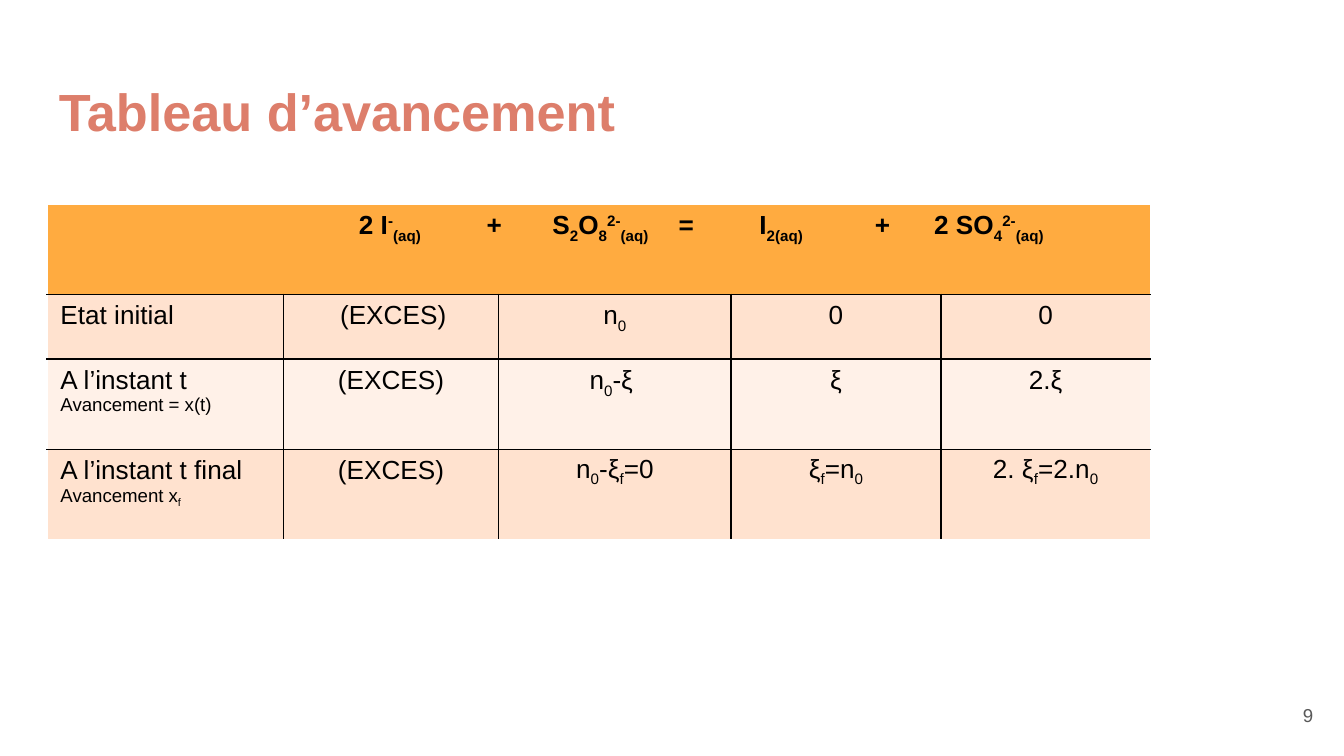
from dataclasses import dataclass

from lxml import etree
from pptx import Presentation
from pptx.dml.color import RGBColor
from pptx.enum.text import MSO_ANCHOR, PP_ALIGN
from pptx.oxml.ns import qn
from pptx.util import Emu, Inches, Pt

LEFT, CENTER, RIGHT = PP_ALIGN.LEFT, PP_ALIGN.CENTER, PP_ALIGN.RIGHT
TOP, MIDDLE = MSO_ANCHOR.TOP, MSO_ANCHOR.MIDDLE


@dataclass(frozen=True)
class Theme:
    font: str = "Arial"
    title: str = "DD7E6B"
    number: str = "595959"
    ink: str = "000000"
    paper: str = "FFFFFF"
    header: str = "FFAB40"
    odd_row: str = "FFE2CF"
    even_row: str = "FFF1E8"
    title_size: int = 28
    body_size: int = 14
    note_size: int = 10
    rule: int = 1


@dataclass(frozen=True)
class Box:
    x: float
    y: float
    w: float
    h: float


@dataclass(frozen=True)
class Label:
    text: str
    box: Box
    size: int
    color: str
    bold: bool = False
    align: PP_ALIGN = LEFT
    anchor: MSO_ANCHOR = TOP


@dataclass(frozen=True)
class Stage:
    name: str
    note: str
    amounts: tuple[str, ...]
    spaced: bool = False


T = Theme()
W = Inches(10)
H = Emu(W * 9 // 16)
SHIFTS = {"_": "-25000", "^": "30000"}
LABELS = (
    Label("Tableau d’avancement", Box(0.034, 0.087, 0.932, 0.112),
          T.title_size, T.title, bold=True),
    Label("9", Box(0.927, 0.907, 0.06, 0.077),
          T.note_size, T.number, align=RIGHT, anchor=MIDDLE),
)
TABLE = Box(0.035, 0.27, 0.821, 0.444)
COLS = (1.76, 1.6, 1.73, 1.56, 1.56)
ROWS = (0.67, 0.48, 0.67, 0.67)
EQUATION = ("\t2 I|^-|_(aq)|\t+\tS|_2|O|_8|^2-|_(aq)|\t=\tI|_2(aq)|"
            "\t+\t2 SO|_4|^2-|_(aq)")
TABS = (2.22, 3.17, 3.66, 4.6, 5.2, 6.06, 6.5)
STAGES = (
    Stage("Etat initial", "", ("_ |(EXCES)", "n|_0", "0", "0")),
    Stage("A l’instant t", "Avancement = x(t)",
          ("(EXCES)", "n|_0|-ξ ", "ξ", "2.ξ")),
    Stage("A l’instant t final", "Avancement x|_f",
          ("(EXCES)", "n|_0|-ξ|_f|=0", "ξ|_f|=n|_0", "2. ξ|_f|=2.n|_0"),
          spaced=True),
)


def rgb(color: str) -> RGBColor:
    return RGBColor.from_string(color)


def place(box: Box) -> tuple[Emu, ...]:
    return (Emu(int(box.x * W)), Emu(int(box.y * H)),
            Emu(int(box.w * W)), Emu(int(box.h * H)))


def split(total: int, weights: tuple[float, ...]) -> list[Emu]:
    return [Emu(int(total * weight / sum(weights))) for weight in weights]


def write(p, markup: str, size: int, color: str, bold: bool = False,
          align: PP_ALIGN = LEFT) -> None:
    p.alignment = align
    for piece in markup.split("|"):
        shift = SHIFTS.get(piece[0])
        r = p.add_run()
        r.text = piece[1:] if shift else piece
        r.font.name, r.font.size, r.font.bold = T.font, Pt(size), bold
        r.font.color.rgb = rgb(color)
        if shift:
            r.font._element.set("baseline", shift)


def add_label(s, label: Label) -> None:
    tf = s.shapes.add_textbox(*place(label.box)).text_frame
    tf.word_wrap = True
    tf.vertical_anchor = label.anchor
    tf.margin_left = tf.margin_right = Inches(0.1)
    tf.margin_top = tf.margin_bottom = Inches(0.1)
    write(tf.paragraphs[0], label.text, label.size, label.color,
          label.bold, label.align)


def set_tabs(p, stops: tuple[float, ...]) -> None:
    tabs = etree.SubElement(p._p.get_or_add_pPr(), qn("a:tabLst"))
    for stop in stops:
        etree.SubElement(tabs, qn("a:tab"), pos=str(Inches(stop)), algn="l")


def style_cell(cell, row: int, col: int, fill: str) -> None:
    outer = {
        "a:lnL": col == 0 or row == 0,
        "a:lnR": col == len(COLS) - 1 or row == 0,
        "a:lnT": row == 0,
        "a:lnB": row == len(ROWS) - 1,
    }
    tcPr = cell._tc.get_or_add_tcPr()
    for tag, is_outer in outer.items():
        ln = etree.SubElement(tcPr, qn(tag), w=str(Pt(T.rule)))
        solid = etree.SubElement(ln, qn("a:solidFill"))
        etree.SubElement(solid, qn("a:srgbClr"),
                         val=T.paper if is_outer else T.ink)
    cell.fill.solid()
    cell.fill.fore_color.rgb = rgb(fill)


def fill_stage(table, row: int, stage: Stage) -> None:
    tf = table.cell(row, 0).text_frame
    write(tf.paragraphs[0], stage.name, T.body_size, T.ink)
    if stage.note:
        write(tf.add_paragraph(), stage.note, T.note_size, T.ink)
    for col, amount in enumerate(stage.amounts, 1):
        cell = table.cell(row, col)
        p = cell.text_frame.paragraphs[0]
        write(p, amount, T.body_size, T.ink, align=CENTER)
        if stage.spaced and col > 1:
            cell.margin_left = cell.margin_right = Inches(0.07)
            cell.margin_top = cell.margin_bottom = 0
            p.line_spacing = 1.15
            p.space_before = p.space_after = Pt(12)


def add_progress_table(s) -> None:
    x, y, w, h = place(TABLE)
    table = s.shapes.add_table(len(ROWS), len(COLS), x, y, w, h).table
    for column, width in zip(table.columns, split(w, COLS)):
        column.width = width
    for line, height in zip(table.rows, split(h, ROWS)):
        line.height = height
    fills = (T.header, T.odd_row, T.even_row, T.odd_row)
    for row, fill in enumerate(fills):
        for col in range(len(COLS)):
            style_cell(table.cell(row, col), row, col, fill)
    head = table.cell(0, 0)
    head.merge(table.cell(0, len(COLS) - 1))
    p = head.text_frame.paragraphs[0]
    write(p, EQUATION, T.body_size, T.ink, bold=True)
    set_tabs(p, TABS)
    for row, stage in enumerate(STAGES, 1):
        fill_stage(table, row, stage)


def main() -> None:
    prs = Presentation()
    prs.slide_width, prs.slide_height = W, H
    s = prs.slides.add_slide(prs.slide_layouts[6])
    for label in LABELS:
        add_label(s, label)
    add_progress_table(s)
    prs.save("out.pptx")


if __name__ == "__main__":
    main()
